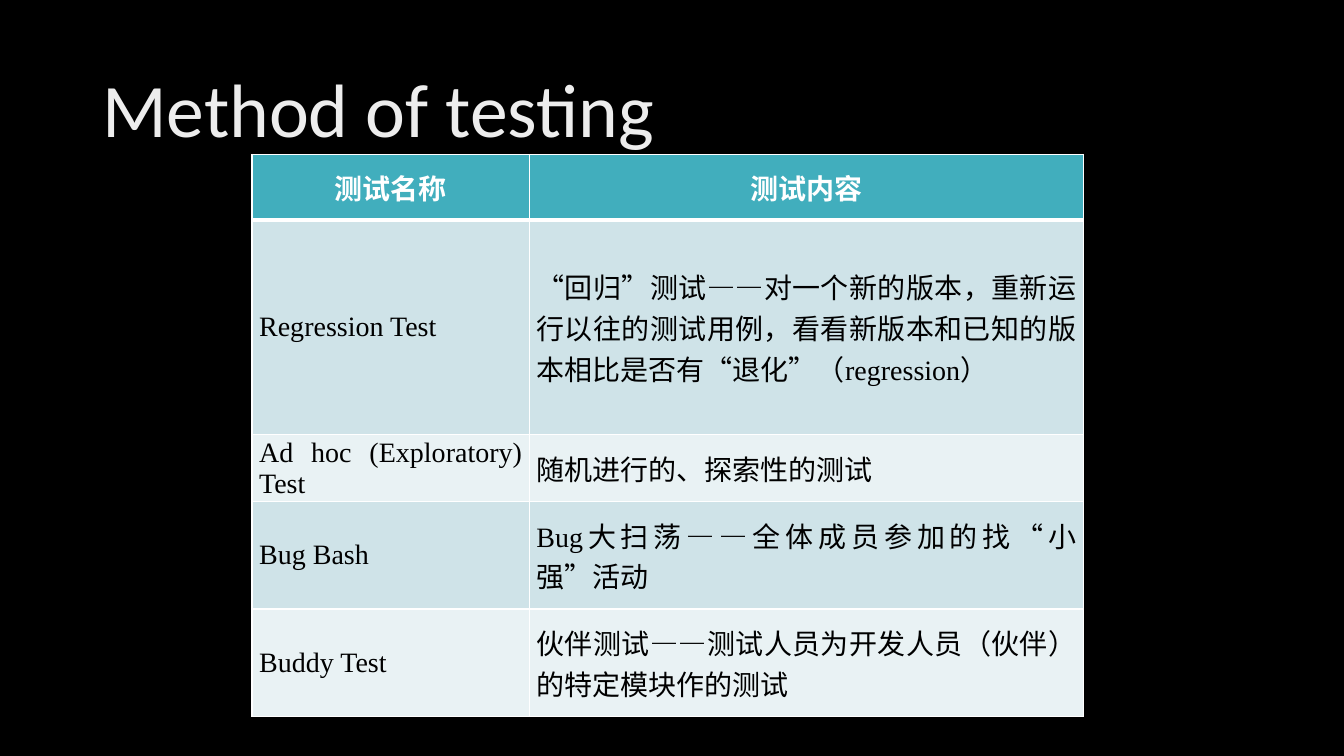
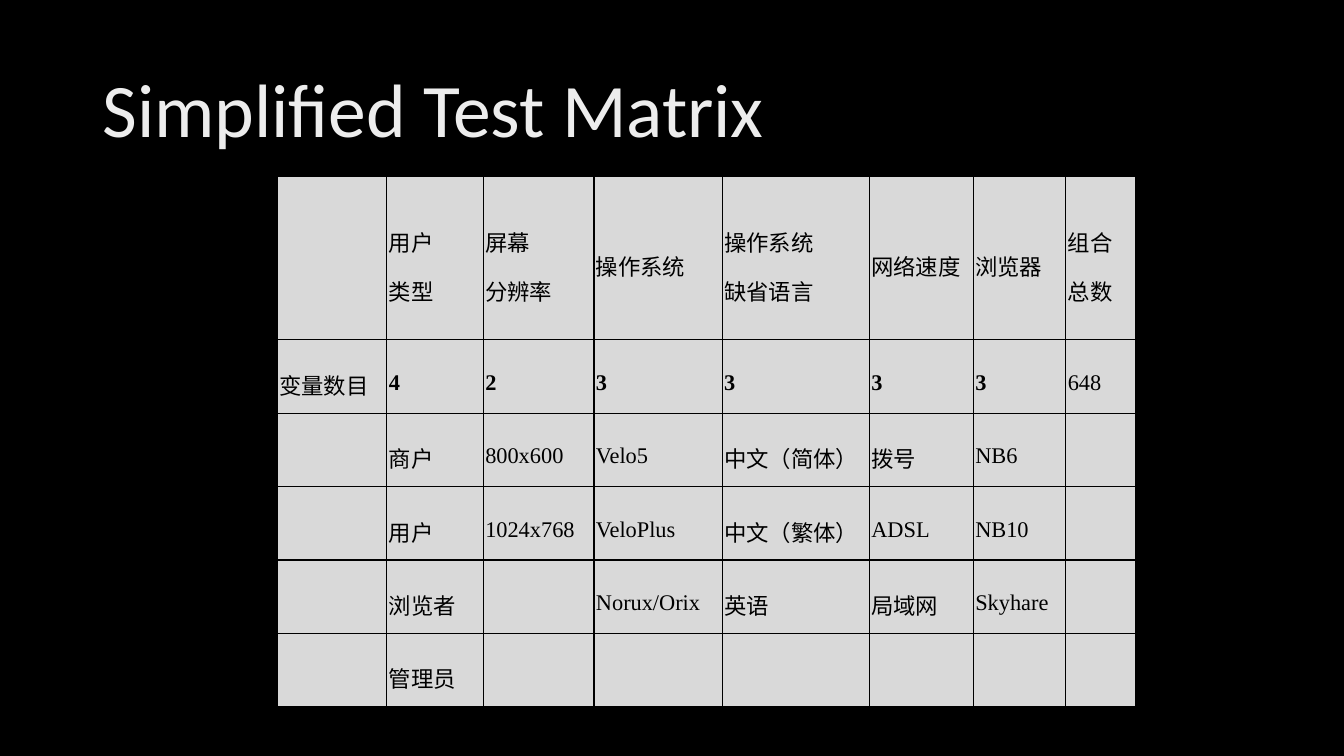
"""Build two dark slides on testing methods and the test matrix."""
from dataclasses import dataclass

from lxml.etree import SubElement
from pptx import Presentation
from pptx.dml.color import RGBColor
from pptx.enum.text import MSO_ANCHOR, PP_ALIGN
from pptx.oxml.ns import qn
from pptx.util import Cm, Pt


@dataclass(frozen=True)
class Theme:
    """Colours, fonts and type sizes of the deck."""
    background: str = "000000"
    title: str = "EDEDED"
    ink: str = "000000"
    light: str = "FFFFFF"
    header: str = "41AEBD"
    bands: tuple = ("CFE3E8", "E9F2F4")
    matrix: str = "D9D9D9"
    title_font: str = "Calibri"
    header_font: str = "Arial"
    body_font: str = "Times New Roman"
    title_size: int = 54
    method_size: int = 20
    matrix_size: int = 16


@dataclass(frozen=True)
class CellStyle:
    """Look of one table cell."""
    fill: str
    font: dict
    paragraph: dict
    color: str
    inset: float
    edges: dict
    line: str


def apply(target, values):
    """Set every attribute in a dict of format values."""
    for name, value in values.items():
        setattr(target, name, value)


class Deck:
    """Hold the theme and the current slide."""

    def __init__(self, theme):
        """Open an empty widescreen presentation."""
        self.theme = theme
        self.presentation = Presentation()
        apply(self.presentation, {"slide_width": Cm(33.87), "slide_height": Cm(19.05)})
        self.slide = None

    def start_slide(self, heading):
        """Add a dark slide with its heading."""
        self.slide = self.presentation.slides.add_slide(self.presentation.slide_layouts[6])
        backdrop = self.slide.background.fill
        backdrop.solid()
        backdrop.fore_color.rgb = RGBColor.from_string(self.theme.background)
        frame = self.slide.shapes.add_textbox(Cm(2.33), Cm(1.02), Cm(29.21), Cm(3.68)).text_frame
        apply(frame, {"word_wrap": True, "vertical_anchor": MSO_ANCHOR.MIDDLE})
        frame.paragraphs[0].line_spacing = 0.9
        font = {"name": self.theme.title_font, "size": Pt(self.theme.title_size)}
        self.add_text(frame.paragraphs[0], heading, font, self.theme.title)

    def add_text(self, paragraph, text, font, color, spacing=None):
        """Add one run of styled text."""
        run = paragraph.add_run()
        run.text = text
        apply(run.font, font)
        run.font.color.rgb = RGBColor.from_string(color)
        if spacing is not None:
            run._r.get_or_add_rPr().set("spc", str(spacing))

    def add_dashed_text(self, paragraph, text, font, color):
        """Add text, tightening the first half of a double dash."""
        before, dash, after = text.partition("——")
        self.add_text(paragraph, before, font, color)
        if dash:
            self.add_text(paragraph, "—", font, color, -100)
            self.add_text(paragraph, "—" + after, font, color)

    def edge_cell(self, cell, edges, color):
        """Draw the borders of a cell."""
        properties = cell._tc.get_or_add_tcPr()
        for side in "LRTB":
            line = SubElement(properties, qn(f"a:ln{side}"), w=str(Pt(edges.get(side, 1))))
            SubElement(SubElement(line, qn("a:solidFill")), qn("a:srgbClr"), val=color)

    def fill_cell(self, cell, text, style):
        """Format a cell and add its lines of text."""
        self.edge_cell(cell, style.edges, style.line)
        apply(cell, {
            "vertical_anchor": MSO_ANCHOR.MIDDLE,
            "margin_left": Cm(style.inset), "margin_right": Cm(style.inset),
            "margin_top": 0, "margin_bottom": 0,
        })
        cell.fill.solid()
        cell.fill.fore_color.rgb = RGBColor.from_string(style.fill)
        if not text:
            return
        frame = cell.text_frame
        for index, line in enumerate(text.split("\n")):
            paragraph = frame.add_paragraph() if index else frame.paragraphs[0]
            apply(paragraph, style.paragraph)
            self.add_dashed_text(paragraph, line, style.font, style.color)

    def table(self, left, top, widths, heights, rows, style_at):
        """Add a table styled by a rule on row and column."""
        table = self.slide.shapes.add_table(
            len(rows), len(widths), Cm(left), Cm(top), Cm(sum(widths)), Cm(sum(heights))).table
        apply(table, {"first_row": False, "horz_banding": False})
        for column, width in zip(table.columns, widths):
            column.width = Cm(width)
        for row, height in zip(table.rows, heights):
            row.height = Cm(height)
        for r, texts in enumerate(rows):
            for c, text in enumerate(texts):
                self.fill_cell(table.cell(r, c), text, style_at(r, c))

    def method_style(self, row, column):
        """Return the style of a cell in the methods table."""
        theme = self.theme
        header = row == 0
        paragraph = {"alignment": PP_ALIGN.CENTER if header else PP_ALIGN.JUSTIFY}
        if column and not header:
            paragraph.update(space_before=Pt(1.5), space_after=Pt(1.5))
        return CellStyle(
            fill=theme.header if header else theme.bands[(row - 1) % 2],
            font={"name": theme.header_font if header else theme.body_font,
                  "size": Pt(theme.method_size), "bold": header},
            paragraph=paragraph,
            color=theme.light if header else theme.ink,
            inset=0.18,
            edges={0: {"B": 3}, 1: {"T": 3}}.get(row, {}),
            line=theme.light)

    def matrix_style(self, row, column):
        """Return the style of a cell in the test matrix."""
        theme = self.theme
        return CellStyle(
            fill=theme.matrix,
            font={"name": theme.body_font if row else theme.header_font,
                  "size": Pt(theme.matrix_size), "bold": row == 1 and 0 < column < 7},
            paragraph={"alignment": PP_ALIGN.JUSTIFY, "line_spacing": 1.5},
            color=theme.ink,
            inset=0.05,
            edges={},
            line=theme.ink)


METHODS = [
    ("测试名称", "测试内容"),
    ("Regression Test",
     "“回归”测试——对一个新的版本，重新运行以往的测试用例，看看新版本和已知的版本相比是否有“退化”（regression）"),
    ("Ad hoc (Exploratory) Test", "随机进行的、探索性的测试"),
    ("Bug Bash", "Bug大扫荡——全体成员参加的找“小强”活动"),
    ("Buddy Test", "伙伴测试——测试人员为开发人员（伙伴）的特定模块作的测试"),
]

MATRIX = [
    ("", "用户\n类型", "屏幕\n分辨率", "操作系统", "操作系统\n缺省语言", "网络速度", "浏览器", "组合\n总数"),
    ("变量数目", "4", "2", "3", "3", "3", "3", "648"),
    ("", "商户", "800x600", "Velo5", "中文（简体）", "拨号", "NB6", ""),
    ("", "用户", "1024x768", "VeloPlus", "中文（繁体）", "ADSL", "NB10", ""),
    ("", "浏览者", "", "Norux/Orix", "英语", "局域网", "Skyhare", ""),
    ("", "管理员", "", "", "", "", "", ""),
]


def main():
    """Build and save the deck."""
    deck = Deck(Theme())
    deck.start_slide("Method of testing")
    deck.table(6.35, 3.89, [6.99, 13.97], [1.65, 5.41, 1.65, 2.7, 2.7],
               METHODS, deck.method_style)
    deck.start_slide("Simplified Test Matrix")
    deck.table(6.99, 4.45, [2.76, 2.43, 2.79, 3.23, 3.71, 2.62, 2.33, 1.76],
               [4.11] + [1.85] * 5, MATRIX, deck.matrix_style)
    deck.presentation.save("out.pptx")


if __name__ == "__main__":
    main()
